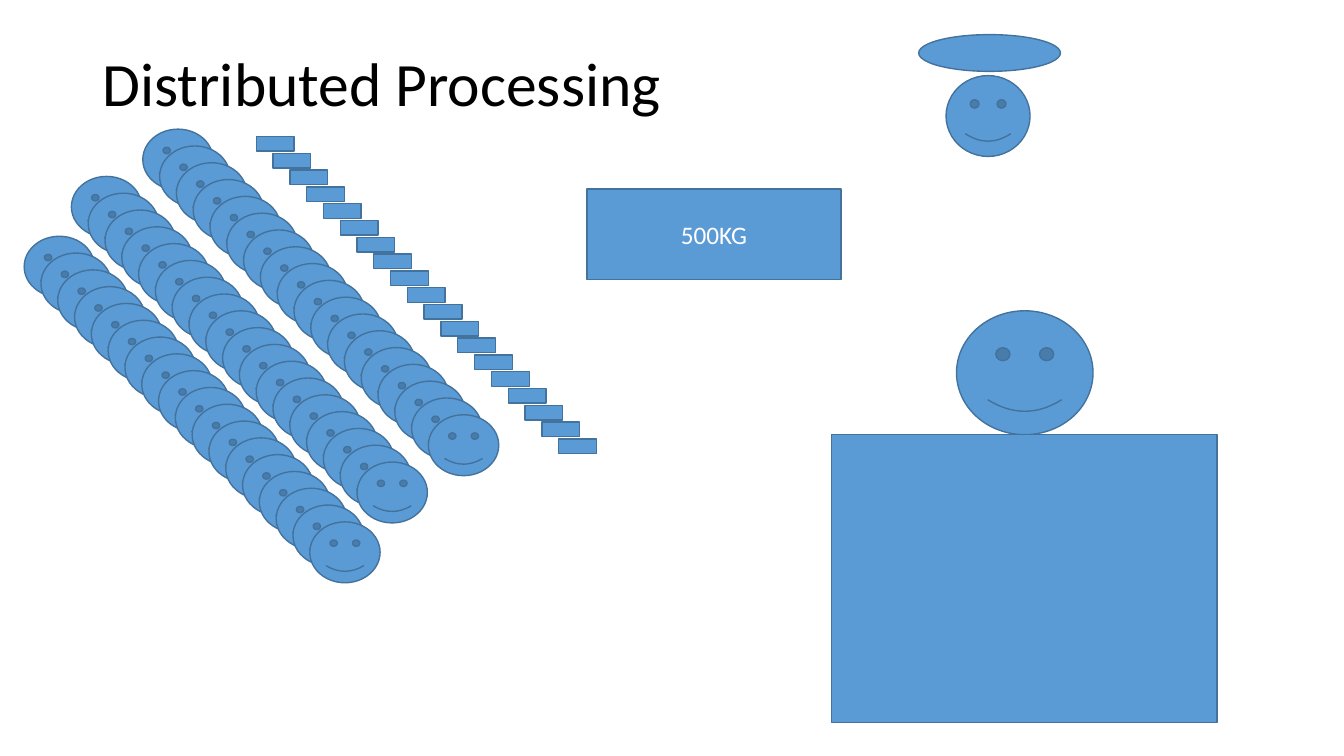
from pptx import Presentation
from pptx import util as u
from pptx.dml.color import RGBColor
from pptx.enum import shapes, text

BLUE = RGBColor(0x5B, 0x9B, 0xD5)
EDGE = RGBColor(0x43, 0x72, 0x9D)
BLACK = RGBColor(0, 0, 0)
WHITE = RGBColor(255, 255, 255)

PX = 9525
STEP = 16
FACE = shapes.MSO_SHAPE.SMILEY_FACE
RECT = shapes.MSO_SHAPE.RECTANGLE
OVAL = shapes.MSO_SHAPE.OVAL

TITLE = "Distributed Processing"
TITLE_BOX = (88, 38, 1104, 88)
WEIGHT = "500KG"
WEIGHT_BOX = (559, 180, 242, 86)
GIANT = [(FACE, (911, 296, 130, 118)), (RECT, (792, 414, 367, 274))]
DIAGONALS = [
    (FACE, (68, 168, 67, 58), 18),
    (FACE, (23, 225, 67, 58), 18),
    (FACE, (136, 123, 67, 58), 18),
]
BOSS = [(FACE, (901, 72, 80, 77)), (OVAL, (875, 33, 135, 35))]
BRICKS = (RECT, (244, 130, 36, 14), 19)


def emu(box):
    return [u.Emu(v * PX) for v in box]


def write(sp, words, size, color, align, spacing=1.0):
    tf = sp.text_frame
    tf.word_wrap = True
    tf.vertical_anchor = text.MSO_ANCHOR.MIDDLE
    p = tf.paragraphs[0]
    p.alignment = align
    p.line_spacing = spacing
    r = p.add_run()
    r.text = words
    r.font.name = "Calibri"
    r.font.size = u.Pt(size)
    r.font.color.rgb = color


def draw(s, kind, box):
    sp = s.shapes.add_shape(kind, *emu(box))
    sp.shadow.inherit = False
    sp.fill.solid()
    sp.fill.fore_color.rgb = BLUE
    sp.line.color.rgb = EDGE
    sp.line.width = u.Pt(1)
    return sp


def draw_diagonal(s, kind, box, count):
    x, y, w, h = box
    for i in range(count):
        draw(s, kind, (x + i * STEP, y + i * STEP, w, h))


def main():
    prs = Presentation()
    prs.slide_width, prs.slide_height = emu((1280, 720))
    s = prs.slides.add_slide(prs.slide_layouts[5])

    title = s.shapes.title
    title.left, title.top, title.width, title.height = emu(TITLE_BOX)
    write(title, TITLE, 44, BLACK, text.PP_ALIGN.LEFT, 0.9)

    for kind, box in GIANT:
        draw(s, kind, box)
    for kind, box, count in DIAGONALS:
        draw_diagonal(s, kind, box, count)
    for kind, box in BOSS:
        draw(s, kind, box)
    weight = draw(s, RECT, WEIGHT_BOX)
    write(weight, WEIGHT, 18, WHITE, text.PP_ALIGN.CENTER)
    draw_diagonal(s, *BRICKS)

    prs.save("out.pptx")


if __name__ == "__main__":
    main()
